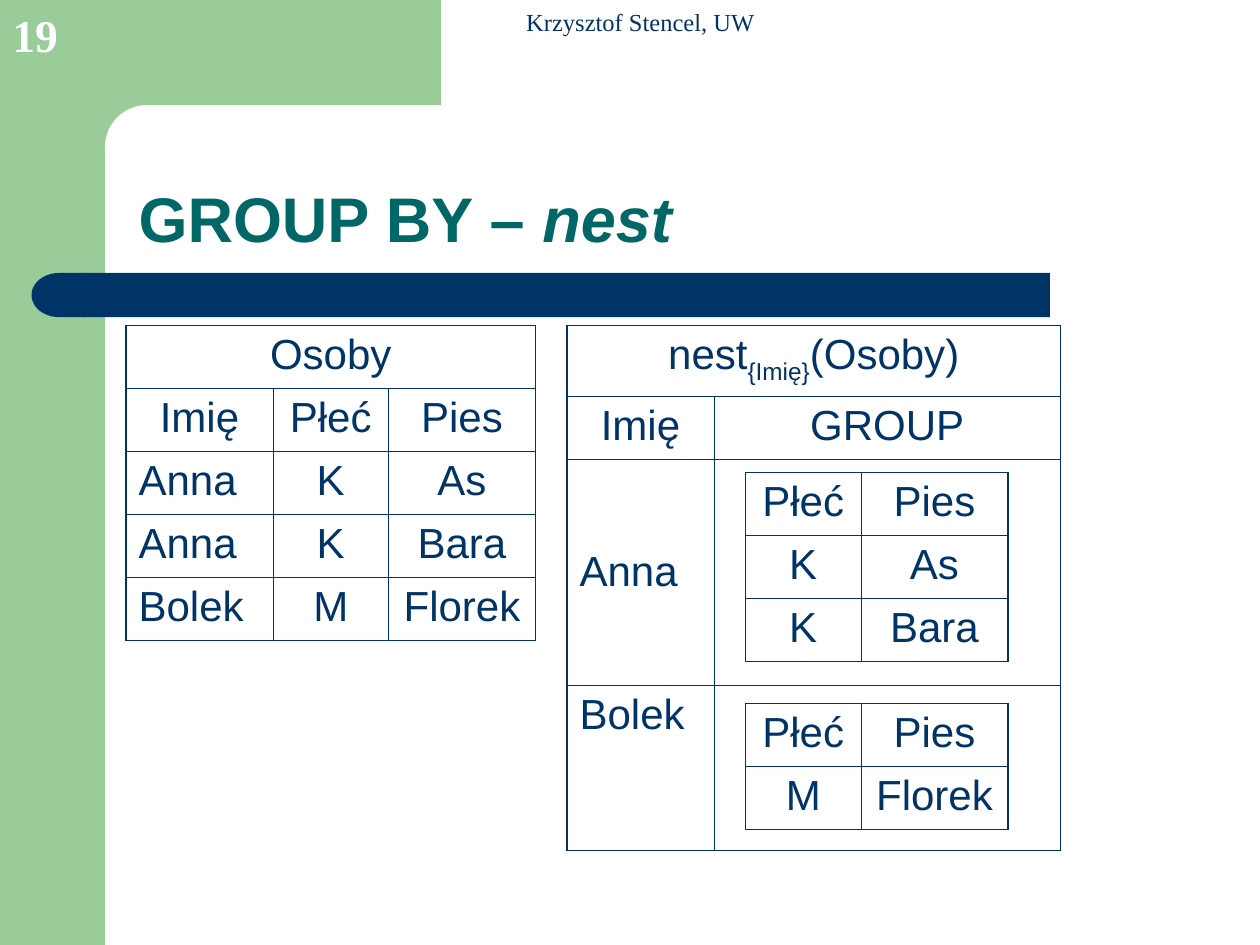
from lxml import etree
from pptx import Presentation, util as u
from pptx.dml.color import RGBColor
from pptx.enum import shapes, text
from pptx.oxml import ns

COLORS = {"green": "99CC99", "navy": "003366", "teal": "006666", "white": "FFFFFF"}
COLUMNS, ROWS = 120, 90  # slide grid
UNIT = u.Inches(10) // COLUMNS
OUTER, INNER = 1.08, 0.45  # table line widths in points
NAME, SEX, DOG = 14, 11, 14  # table column widths
LINE = 6  # table row height
SUBSCRIPT = "-25000"
CELL_FONT = {"name": "Arial", "size": u.Pt(24)}
ALIGN = text.PP_ALIGN
ANCHOR = text.MSO_ANCHOR


def grid(*lengths):
    return [round(length * UNIT) for length in lengths]


def color(name):
    return RGBColor.from_string(COLORS[name])


def add_run(paragraph, words, color_name, **font_values):
    run = paragraph.add_run()
    run.text = words
    for attribute, value in font_values.items():
        setattr(run.font, attribute, value)
    run.font.color.rgb = color(color_name)
    return run


def add_block(slide, kind, box, color_name, **values):
    shape = slide.shapes.add_shape(kind, *grid(*box))
    shape.shadow.inherit = False
    shape.fill.solid()
    shape.fill.fore_color.rgb = color(color_name)
    shape.line.fill.background()
    for attribute, value in values.items():
        setattr(shape, attribute, value)
    return shape


def add_frame(slide, side):
    """Green corner with a rounded inner edge; side is the width of the left band."""
    kinds = shapes.MSO_SHAPE
    add_block(slide, kinds.RECTANGLE, (0, 0, side, ROWS), "green")
    add_block(slide, kinds.RECTANGLE, (side - 1, 0, 33, 14), "green")
    corner = add_block(slide, kinds.ROUNDED_RECTANGLE, (side, 10, 67, 8), "white")
    corner.adjustments[0] = 0.5


def add_bar(slide, left, top, width, height):
    """Navy rule with a round left end."""
    kinds = shapes.MSO_SHAPE
    cap = 5
    add_block(slide, kinds.RECTANGLE, (left + cap, top, width - cap, height), "navy")
    add_block(slide, kinds.FLOWCHART_DELAY, (left, top, cap + 0.2, height), "navy",
              rotation=180)


def add_title(slide, left, top, width, height):
    title = slide.shapes.title
    title.left, title.top, title.width, title.height = grid(left, top, width, height)
    title.text_frame.vertical_anchor = ANCHOR.BOTTOM
    paragraph = title.text_frame.paragraphs[0]
    paragraph.alignment = ALIGN.LEFT
    paragraph.line_spacing = 0.9
    font = {"name": "Arial", "size": u.Pt(36), "bold": True}
    add_run(paragraph, "GROUP BY – ", "teal", **font)
    add_run(paragraph, "nest", "teal", italic=True, **font)


def add_label(slide, box, words, color_name, alignment, **font_values):
    frame = slide.shapes.add_textbox(*grid(*box)).text_frame
    frame.word_wrap = True
    frame.vertical_anchor = ANCHOR.BOTTOM
    paragraph = frame.paragraphs[0]
    paragraph.alignment = alignment
    add_run(paragraph, words, color_name, name="Times New Roman", **font_values)
    return paragraph


def set_borders(cell, outer_sides):
    properties = cell._tc.get_or_add_tcPr()
    for side in "LRTB":
        width = u.Pt(OUTER if side in outer_sides else INNER)
        line = etree.SubElement(properties, ns.qn(f"a:ln{side}"), w=str(int(width)))
        fill = etree.SubElement(line, ns.qn("a:solidFill"))
        etree.SubElement(fill, ns.qn("a:srgbClr"), val=COLORS["navy"])


def fill_cell(cell, parts, alignment):
    """Parts alternate between normal and subscript text."""
    paragraph = cell.text_frame.paragraphs[0]
    paragraph.alignment = alignment
    paragraph.space_before = u.Pt(6)
    for index, part in enumerate(parts):
        run = add_run(paragraph, part, "navy", **CELL_FONT)
        if index % 2:
            run.font._element.set("baseline", SUBSCRIPT)


def add_relation(slide, left, top, widths, heights, rows, caption=None):
    """Ruled table; a caption spans the first row, and names below it align left."""
    if caption:
        rows = [[""] * len(widths)] + rows
    last_row, last_column = len(rows) - 1, len(widths) - 1
    box = grid(left, top, sum(widths), sum(heights))
    table = slide.shapes.add_table(len(rows), len(widths), *box).table
    table.first_row = table.horz_banding = False
    for column, width in zip(table.columns, grid(*widths)):
        column.width = width
    for row, height in zip(table.rows, grid(*heights)):
        row.height = height
    if caption:
        table.cell(0, 0).merge(table.cell(0, last_column))
        fill_cell(table.cell(0, 0), caption, ALIGN.CENTER)
    for r, row in enumerate(rows):
        for c, words in enumerate(row):
            cell = table.cell(r, c)
            end = c + cell.span_width - 1 if cell.is_merge_origin else c
            edges = {"L": c == 0, "R": end == last_column, "T": r == 0, "B": r == last_row}
            if not cell.is_spanned:
                set_borders(cell, [side for side, outer in edges.items() if outer])
            cell.fill.background()
            if words:
                is_name = caption and c == 0 and r > 1
                fill_cell(cell, [words], ALIGN.LEFT if is_name else ALIGN.CENTER)
    return table


def add_people(slide, left, top):
    rows = [["Imię", "Płeć", "Pies"], ["Anna", "K", "As"],
            ["Anna", "K", "Bara"], ["Bolek", "M", "Florek"]]
    add_relation(slide, left, top, [NAME, SEX, DOG], [LINE] * 5, rows, ["Osoby"])


def add_nested(slide, left, top):
    rows = [["Imię", "GROUP"], ["Anna", ""], ["Bolek", ""]]
    table = add_relation(slide, left, top, [NAME, 33], [6.7, LINE, 21.6, 15.7], rows,
                         ["nest", "{Imię}", "(Osoby)"])
    table.cell(2, 0).vertical_anchor = ANCHOR.MIDDLE
    # Inner tables, one for each name
    groups = {14: [["K", "As"], ["K", "Bara"]], 36: [["M", "Florek"]]}
    for offset, members in groups.items():
        rows = [["Płeć", "Pies"]] + members
        add_relation(slide, left + 17, top + offset, [SEX, DOG], [LINE] * len(rows), rows)


def main():
    presentation = Presentation()
    presentation.slide_width, presentation.slide_height = grid(COLUMNS, ROWS)
    slide = presentation.slides.add_slide(presentation.slide_layouts[5])

    # Background decoration and title
    add_frame(slide, 10)
    add_bar(slide, 3, 26, 97, 4.2)
    add_title(slide, 12, 10, 105, 15)

    # Relation before and after nesting
    add_people(slide, 12, 31)
    add_nested(slide, 54, 31)

    # Author and slide number
    add_label(slide, (42, 0, 38, 4.1), "Krzysztof Stencel, UW", "navy", ALIGN.CENTER,
              size=u.Pt(14))
    add_label(slide, (0, 0, 7.7, 6.5), "19", "white", ALIGN.LEFT,
              size=u.Pt(26), bold=True)

    presentation.save("out.pptx")


if __name__ == "__main__":
    main()
